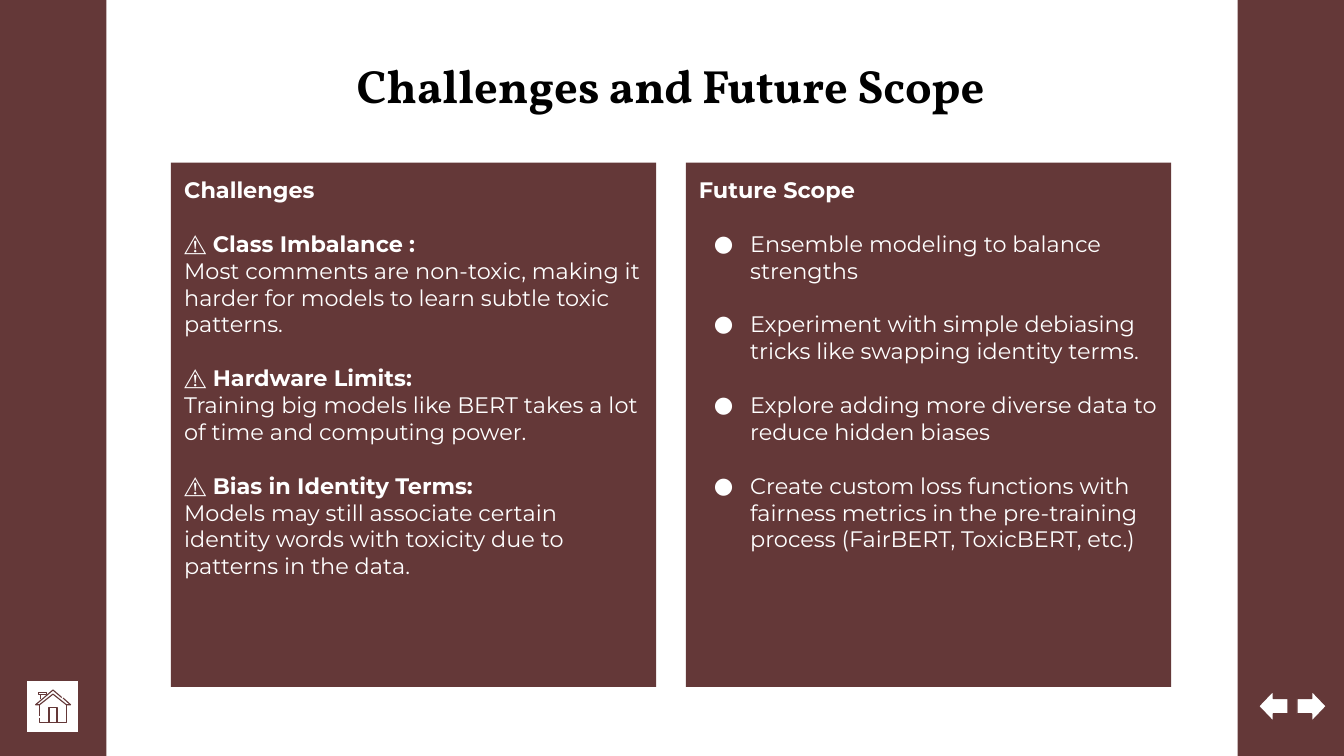
from dataclasses import dataclass

from lxml.etree import SubElement
from pptx import Presentation
from pptx.dml.color import RGBColor
from pptx.enum.shapes import MSO_SHAPE
from pptx.enum.text import MSO_ANCHOR, MSO_AUTO_SIZE, PP_ALIGN
from pptx.oxml.ns import qn
from pptx.util import Pt

MAROON, WHITE, BLACK = "643838", "FFFFFF", "000000"
TEXT_SIZE = 12
LINE_GAP = 14.4
INSET = 7.2


@dataclass
class Box:
    left: float
    top: float
    width: float
    height: float


@dataclass
class Line:
    text: str
    bold: bool = False
    bullet: bool = False
    space_before: float = 0


@dataclass
class Panel:
    box: Box
    lines: list[Line]


def color(value: str) -> RGBColor:
    return RGBColor.from_string(value)


def heading(text: str) -> Line:
    return Line(text, bold=True, space_before=LINE_GAP)


def bullet(text: str) -> Line:
    return Line(text, bullet=True, space_before=LINE_GAP)


def place(shape, box: Box) -> None:
    shape.left, shape.top = Pt(box.left), Pt(box.top)
    shape.width, shape.height = Pt(box.width), Pt(box.height)


def add_block(slide, box: Box, fill: str, line: str | None = None,
              kind=MSO_SHAPE.RECTANGLE, rotation: float = 0):
    shape = slide.shapes.add_shape(kind, Pt(box.left), Pt(box.top), Pt(box.width), Pt(box.height))
    shape.shadow.inherit = False
    shape.rotation = rotation
    shape.fill.solid()
    shape.fill.fore_color.rgb = color(fill)
    if line:
        shape.line.color.rgb = color(line)
        shape.line.width = Pt(0.75)
    else:
        shape.line.fill.background()
    return shape


def set_frame(frame) -> None:
    frame.word_wrap = True
    frame.auto_size = MSO_AUTO_SIZE.NONE
    frame.vertical_anchor = MSO_ANCHOR.TOP
    frame.margin_left = frame.margin_right = Pt(INSET)
    frame.margin_top = frame.margin_bottom = Pt(INSET)


def add_run(paragraph, text: str, font: str, size: float, fill: str, bold: bool) -> None:
    run = paragraph.add_run()
    run.text = text
    run.font.name = font
    run.font.size = Pt(size)
    run.font.bold = bold
    run.font.color.rgb = color(fill)


def add_bullet(paragraph) -> None:
    properties = paragraph._p.get_or_add_pPr()
    properties.set("marL", str(Pt(27.4)))
    properties.set("indent", str(Pt(-19.4)))
    bullet_color = SubElement(properties, qn("a:buClr"))
    SubElement(bullet_color, qn("a:srgbClr")).set("val", WHITE)
    SubElement(properties, qn("a:buFont")).set("typeface", "Montserrat")
    SubElement(properties, qn("a:buChar")).set("char", "●")


def add_panel(slide, panel: Panel) -> None:
    frame = add_block(slide, panel.box, MAROON).text_frame
    set_frame(frame)
    for index, line in enumerate(panel.lines):
        paragraph = frame.add_paragraph() if index else frame.paragraphs[0]
        paragraph.alignment = PP_ALIGN.LEFT
        paragraph.space_before = Pt(line.space_before)
        if line.bullet:
            add_bullet(paragraph)
        add_run(paragraph, line.text, "Montserrat", TEXT_SIZE, WHITE, line.bold)


def add_strokes(slide, strokes: list[list[tuple[float, float]]], stroke_color: str) -> None:
    paths = [[(Pt(x), Pt(y)) for x, y in stroke] for stroke in strokes]
    builder = slide.shapes.build_freeform(*paths[0][0])
    for index, points in enumerate(paths):
        if index:
            builder.move_to(*points[0])
        builder.add_line_segments(points[1:], close=False)
    shape = builder.convert_to_shape()
    shape.shadow.inherit = False
    shape.fill.background()
    shape.line.color.rgb = color(stroke_color)
    shape.line.width = Pt(0.6)


SIDE_BARS = [Box(left, 0, 57, 405) for left in (0, 663)]

HOUSE = [
    # Roof
    [(33.1, 373.7), (28.4, 369.7), (19.1, 377.6), (21.2, 377.6), (28.4, 371.9),
     (35.6, 377.6), (37.8, 377.6), (33.8, 374)],
    # Walls
    [(21.2, 377.6), (21.2, 383.4)],
    [(21.2, 384.5), (21.2, 387), (35.6, 387), (35.6, 377.6)],
    # Door
    [(26.3, 387), (26.3, 379.1), (30.6, 379.1), (30.6, 387)],
    # Chimney
    [(21.6, 374.8), (21.6, 372.2), (20.9, 372.2), (20.9, 371.2), (24.8, 371.2),
     (24.8, 372.2), (21.6, 372.2)],
]

PANELS = [
    Panel(Box(91.6, 87.2, 260, 280.8), [
        Line("Challenges", bold=True),
        heading("⚠ Class Imbalance :"),
        Line("Most comments are non-toxic, making it harder for models to learn "
             "subtle toxic patterns."),
        heading("⚠ Hardware Limits:"),
        Line("Training big models like BERT takes a lot of time and computing power."),
        heading("⚠ Bias in Identity Terms:"),
        Line("Models may still associate certain identity words with toxicity due to "
             "patterns in the data."),
    ]),
    Panel(Box(367.4, 87.2, 260, 280.8), [
        Line("Future Scope", bold=True),
        bullet("Ensemble modeling to balance strengths"),
        bullet("Experiment with simple debiasing tricks like swapping identity terms."),
        bullet("Explore adding more diverse data to reduce hidden biases"),
        bullet("Create custom loss functions with fairness metrics in the pre-training "
               "process (FairBERT, ToxicBERT, etc.)"),
    ]),
]


def main() -> None:
    presentation = Presentation()
    presentation.slide_width, presentation.slide_height = Pt(720), Pt(405)
    slide = presentation.slides.add_slide(presentation.slide_layouts[5])

    # Title
    title = slide.shapes.title
    place(title, Box(55.4, 23, 607.7, 43.2))
    set_frame(title.text_frame)
    paragraph = title.text_frame.paragraphs[0]
    paragraph.alignment = PP_ALIGN.CENTER
    add_run(paragraph, "Challenges and Future Scope", "Vollkorn", 25, BLACK, True)

    # Side bars
    for bar in SIDE_BARS:
        add_block(slide, bar, MAROON)

    # Back and forward arrows
    for left, rotation in ((674.2, 0), (694.8, 180)):
        add_block(slide, Box(left, 370.1, 15.8, 16.5), WHITE, MAROON,
                  MSO_SHAPE.LEFT_ARROW, rotation)

    # Home button
    add_block(slide, Box(14.2, 364.5, 28, 27.8), WHITE, MAROON)
    add_strokes(slide, HOUSE, MAROON)

    # Text panels
    for panel in PANELS:
        add_panel(slide, panel)

    presentation.save("out.pptx")


if __name__ == "__main__":
    main()
